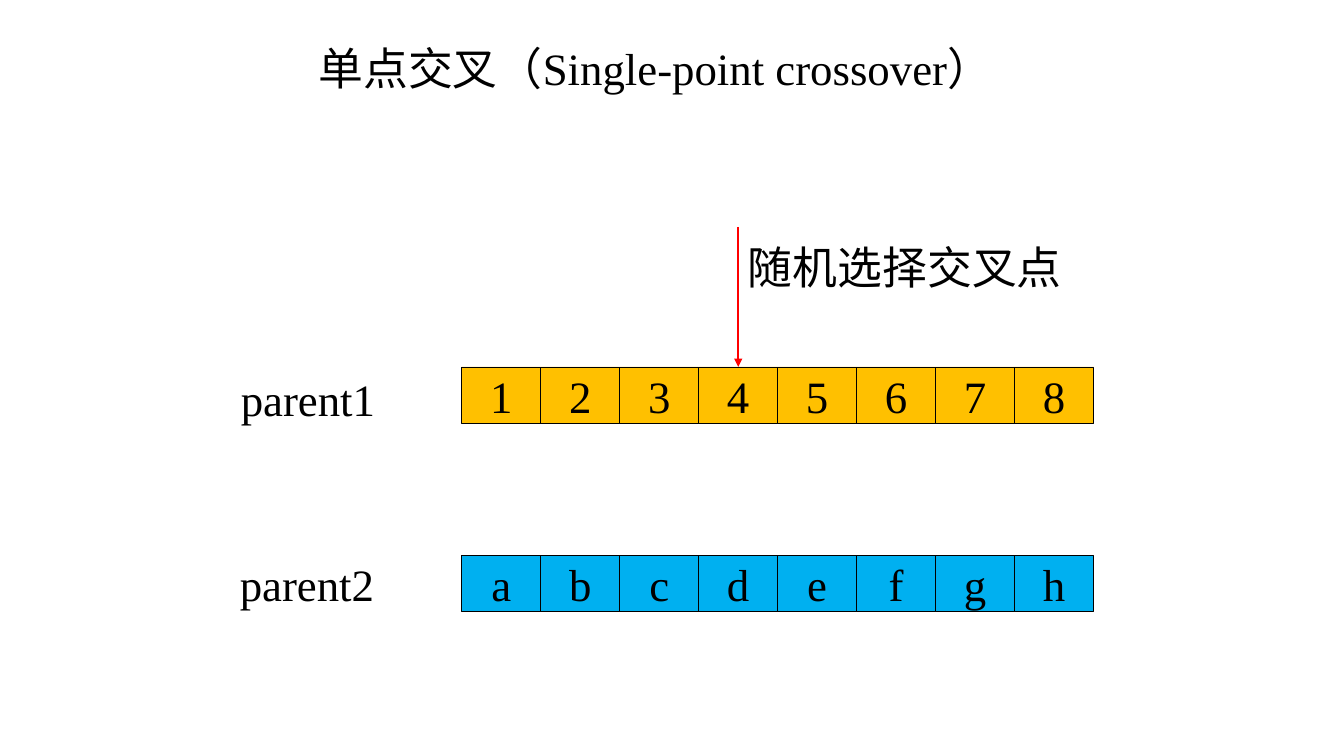
from lxml import etree
from pptx import Presentation
from pptx.dml.color import RGBColor
from pptx.enum.shapes import MSO_CONNECTOR, MSO_SHAPE
from pptx.enum.text import MSO_ANCHOR, PP_ALIGN
from pptx.oxml.ns import qn
from pptx.util import Inches, Pt

RECTANGLE = MSO_SHAPE.RECTANGLE
STRAIGHT = MSO_CONNECTOR.STRAIGHT
MIDDLE = MSO_ANCHOR.MIDDLE
CENTER = PP_ALIGN.CENTER

FONT = "Times New Roman"
BLACK, RED, AMBER, BLUE = "000000", "FF0000", "FFC000", "00B0F0"
GENES_LEFT, GENE_WIDTH, GENE_HEIGHT = 4.58, 4.7 / 6, 0.56
LABEL_HEIGHT = 0.64
TOP_SIDE = 0


def color(hex_string):
    return RGBColor.from_string(hex_string)


def write(shape, text):
    shape.text_frame.text = text
    font = shape.text_frame.paragraphs[0].runs[0].font
    font.name, font.size = FONT, Pt(32)
    font.color.rgb = color(BLACK)


def add_label(page, text, left, top, width):
    box = page.shapes.add_textbox(
        Inches(left), Inches(top), Inches(width), Inches(LABEL_HEIGHT))
    box.text_frame.word_wrap = True
    write(box, text)


def add_chromosome(page, genes, top, fill):
    """Draw one row of adjoining gene cells and return them."""
    cells = []
    for column, gene in enumerate(genes):
        cell = page.shapes.add_shape(
            RECTANGLE, Inches(GENES_LEFT + column * GENE_WIDTH), Inches(top),
            Inches(GENE_WIDTH), Inches(GENE_HEIGHT))
        cell.shadow.inherit = False
        cell.fill.solid()
        cell.fill.fore_color.rgb = color(fill)
        cell.line.color.rgb = color(BLACK)
        cell.line.width = Pt(0.5)
        write(cell, gene)
        cell.text_frame.vertical_anchor = MIDDLE
        cell.text_frame.paragraphs[0].alignment = CENTER
        cells.append(cell)
    return cells


def add_arrow_down_to(page, cell, start_top):
    middle = cell.left + cell.width // 2
    arrow = page.shapes.add_connector(
        STRAIGHT, middle, Inches(start_top), middle, cell.top)
    arrow.end_connect(cell, TOP_SIDE)
    arrow.line.color.rgb = color(RED)
    arrow.line.width = Pt(1.5)
    line = arrow.line._get_or_add_ln()
    etree.SubElement(line, qn("a:tailEnd"), type="triangle")
    etree.SubElement(arrow._element.spPr, qn("a:effectLst"))


def main():
    deck = Presentation()
    deck.slide_width, deck.slide_height = Inches(13.33), Inches(7.5)
    page = deck.slides.add_slide(deck.slide_layouts[6])

    add_label(page, "单点交叉（Single-point crossover）", 3.06, 0.36, 6.95)
    add_label(page, "parent1", 2.29, 3.64, 1.66)
    add_label(page, "parent2", 2.28, 5.47, 1.66)
    first_parent = add_chromosome(page, "12345678", 3.64, AMBER)
    add_chromosome(page, "abcdefgh", 5.51, BLUE)
    add_arrow_down_to(page, first_parent[3], 2.25)
    add_label(page, "随机选择交叉点", 7.32, 2.33, 3.34)

    deck.save("out.pptx")


if __name__ == "__main__":
    main()
